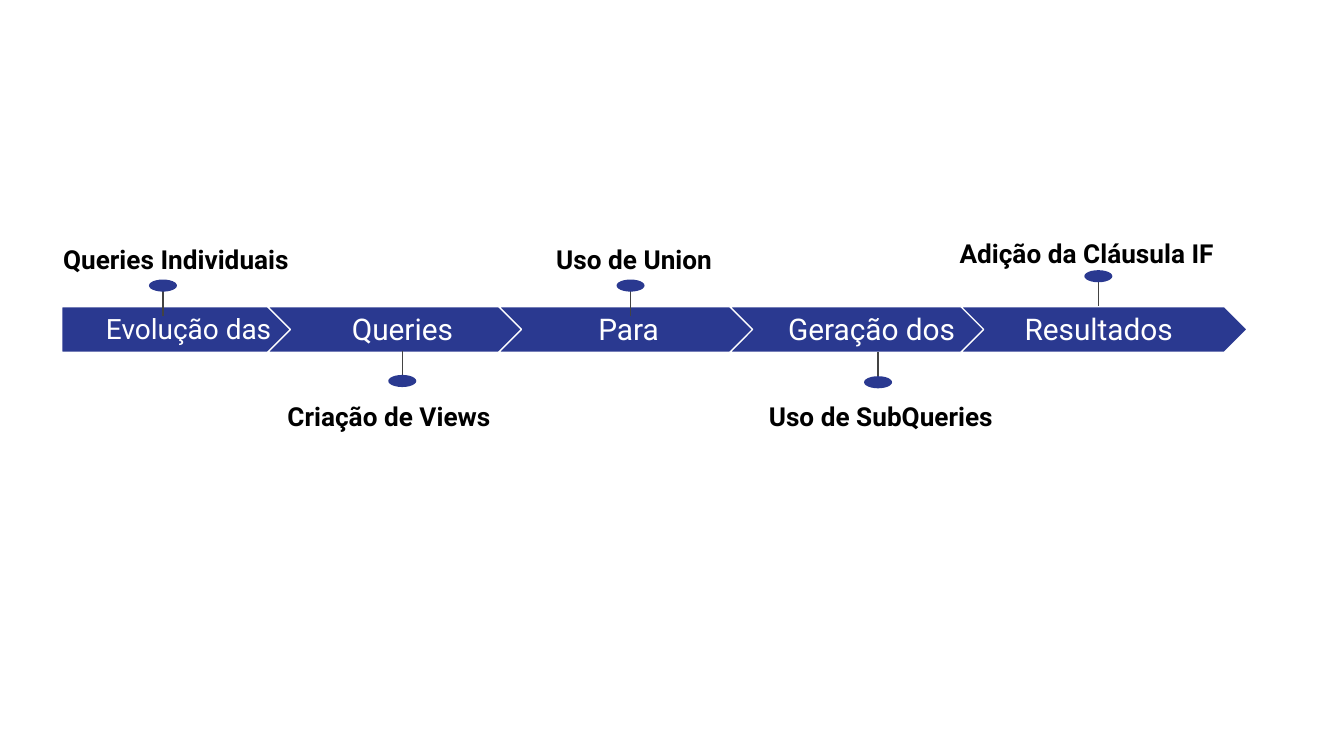
import pptx
import pptx.util
import pptx.dml.color
import pptx.enum.shapes
import pptx.enum.text
import pptx.oxml
from dataclasses import dataclass

Pt = pptx.util.Pt
Shapes = pptx.enum.shapes.MSO_SHAPE
Align = pptx.enum.text.PP_ALIGN
Anchor = pptx.enum.text.MSO_ANCHOR


@dataclass(frozen=True)
class Theme:
    font: str = "Roboto"
    band: str = "2A3990"
    outline: str = "FFFFFF"
    stem: str = "434343"
    band_text: str = "FFFFFF"
    label_text: str = "000000"
    label_size: int = 14
    line_width: float = 0.75


theme = Theme()
rgb = pptx.dml.color.RGBColor.from_string


def add_text(left, top, width, height, text, size, color, align, anchor, bold=False):
    box = page.shapes.add_textbox(Pt(left), Pt(top), Pt(width), Pt(height))
    frame = box.text_frame
    frame.word_wrap = True
    frame.vertical_anchor = anchor
    frame.margin_left = frame.margin_right = Pt(7.2)
    frame.margin_top = frame.margin_bottom = Pt(7.2)
    frame.text = text
    para = frame.paragraphs[0]
    para.alignment = align
    font = para.runs[0].font
    font.name, font.size, font.bold = theme.font, Pt(size), bold
    font.color.rgb = rgb(color)


def add_band_shape(kind, left, top, width, height):
    shape = page.shapes.add_shape(kind, Pt(left), Pt(top), Pt(width), Pt(height))
    shape.shadow.inherit = False
    shape.fill.solid()
    shape.fill.fore_color.rgb = rgb(theme.band)
    shape.line.fill.background()
    return shape


deck = pptx.Presentation()
deck.slide_width, deck.slide_height = Pt(720), Pt(405)
page = deck.slides.add_slide(deck.slide_layouts[6])

# Timeline steps: text, size, alignment, left, width, pin x, pin outer y, direction to the band
steps = [
    ("Evolução das", 15, Align.LEFT, 49.7, 108.7, 87.3, 151.2, 1),
    ("Queries", 16, Align.CENTER, 166.3, 98.6, 215.5, 205.9, -1),
    ("Para", 16, Align.CENTER, 287.5, 98.6, 337.8, 151.2, 1),
    ("Geração dos", 16, Align.CENTER, 412.6, 108.7, 470.4, 206.6, -1),
    ("Resultados", 16, Align.CENTER, 539.3, 98.6, 588.4, 146.2, 1),
]
first_left, chevron_left, pitch = 33.1, 143.4, 123.8
band_top, band_height = 164.3, 24.4
dot_width, dot_height, dot_inset, stem_length = 15, 6.5, 1.8, 18

for index, (text, size, align, left, width, pin_x, pin_y, direction) in enumerate(steps):
    # Arrow segment
    if index == 0:
        arrow = add_band_shape(Shapes.PENTAGON, first_left, band_top, 140.4, band_height)
    else:
        arrow = add_band_shape(Shapes.CHEVRON, chevron_left + (index - 1) * pitch,
                               band_top, 153.4, band_height)
    arrow.line.color.rgb = rgb(theme.outline)
    arrow.line.width = Pt(theme.line_width)
    add_text(left, 168.5, width, 15.1, text, size, theme.band_text, align, Anchor.MIDDLE)

    # Pin: stem and dot
    stem = page.shapes.add_connector(
        pptx.enum.shapes.MSO_CONNECTOR.STRAIGHT,
        Pt(pin_x), Pt(pin_y), Pt(pin_x), Pt(pin_y + direction * stem_length))
    stem.line.color.rgb = rgb(theme.stem)
    stem.line.width = Pt(theme.line_width)
    stem.element.spPr.append(pptx.oxml.parse_xml(
        '<a:effectLst xmlns:a="http://schemas.openxmlformats.org/drawingml/2006/main"/>'))
    dot_middle = pin_y + direction * dot_inset
    add_band_shape(Shapes.OVAL, pin_x - dot_width / 2, dot_middle - dot_height / 2,
                   dot_width, dot_height)

# Pin labels: text, left, top, width
labels = [
    ("Queries Individuais", 26.7, 123.2, 171.4),
    ("Criação de Views", 146.9, 207.5, 138.2),
    ("Uso de Union", 290.9, 123.2, 108),
    ("Uso de SubQueries", 404.8, 207.5, 138.2),
    ("Adição da Cláusula IF", 507, 120.2, 156.2),
]
for text, left, top, width in labels:
    add_text(left, top, width, 31.7, text, theme.label_size, theme.label_text,
             Align.LEFT, Anchor.TOP, bold=True)

deck.save("out.pptx")
